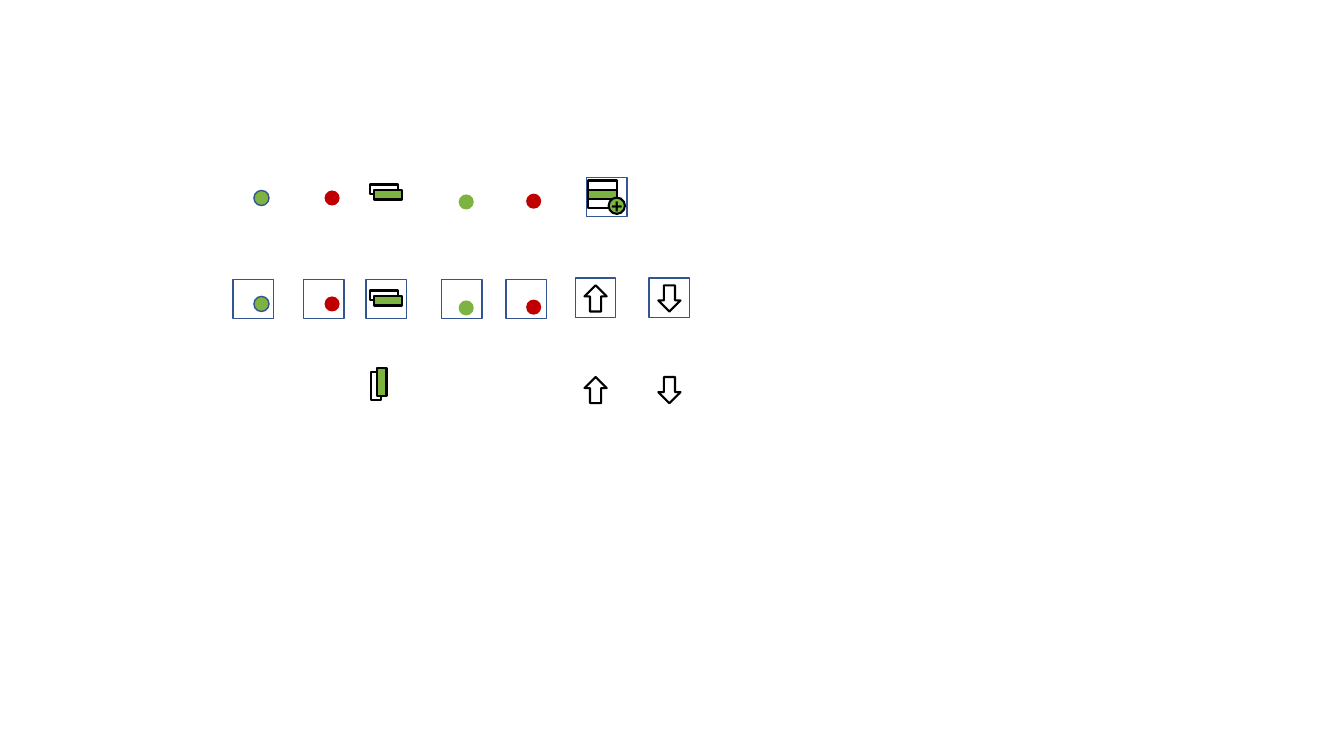
from pptx import Presentation
from pptx.dml.color import RGBColor
from pptx.enum.shapes import MSO_SHAPE
from pptx.enum.text import MSO_ANCHOR, PP_ALIGN
from pptx.util import Cm, Pt

GREEN = RGBColor(0x7D, 0xB4, 0x41)
BADGE_GREEN = RGBColor(0x7D, 0xB5, 0x41)
RED = RGBColor(0xC0, 0x00, 0x00)
BLUE = RGBColor(0x32, 0x54, 0x91)
BLACK = RGBColor(0x00, 0x00, 0x00)
WHITE = RGBColor(0xFF, 0xFF, 0xFF)


class IconSheet:
    """Draws icon elements on one slide; all lengths are in centimetres."""

    FONT = "Arial"
    THIN, THICK = Pt(1), Pt(1.5)
    DOT = 0.38
    FRAME = (1.02, 0.99)
    BAR = (0.71, 0.25)
    LAYER = (0.71, 0.23)
    ARROW = (0.56, 0.66)

    def __init__(self, slide):
        self.slide = slide

    def add_outline(self, kind, left, top, size, fill=None, line=None,
                    width=THICK, rotation=0, group=None):
        shapes = (group or self.slide).shapes
        shape = shapes.add_shape(kind, Cm(left), Cm(top), Cm(size[0]), Cm(size[1]))
        shape.shadow.inherit = False
        shape.rotation = rotation
        if fill is None:
            shape.fill.background()
        else:
            shape.fill.solid()
            shape.fill.fore_color.rgb = fill
        if line is None:
            shape.line.fill.background()
        else:
            shape.line.color.rgb = line
            shape.line.width = width
        return shape

    def dot(self, left, top, fill, line=None):
        self.add_outline(MSO_SHAPE.OVAL, left, top, (self.DOT, self.DOT), fill, line, self.THIN)

    def frame(self, left, top):
        self.add_outline(MSO_SHAPE.RECTANGLE, left, top, self.FRAME, line=BLUE, width=self.THIN)

    def bar_pair(self, left, top, shift, rotation=0):
        group = self.slide.shapes.add_group_shape()
        for step, fill in enumerate((None, GREEN)):
            self.add_outline(MSO_SHAPE.RECTANGLE, left + step * shift[0], top + step * shift[1],
                             self.BAR, fill, BLACK, rotation=rotation, group=group)

    def layers(self, left, top):
        group = self.slide.shapes.add_group_shape()
        for level, fill in ((2, None), (1, GREEN), (0, None)):
            self.add_outline(MSO_SHAPE.RECTANGLE, left, top + level * self.LAYER[1],
                             self.LAYER, fill, BLACK, group=group)

    def badge(self, left, top, text):
        shape = self.add_outline(MSO_SHAPE.OVAL, left, top, (0.41, 0.41), BADGE_GREEN, BLACK)
        frame = shape.text_frame
        frame.margin_left = frame.margin_right = frame.margin_top = frame.margin_bottom = 0
        frame.word_wrap = False
        frame.vertical_anchor = MSO_ANCHOR.MIDDLE
        frame.text = text
        paragraph = frame.paragraphs[0]
        paragraph.alignment = PP_ALIGN.CENTER
        font = paragraph.runs[0].font
        font.name, font.size, font.bold = self.FONT, Pt(14), True
        font.color.rgb = BLACK

    def arrow(self, left, top, rotation, fill=None):
        self.add_outline(MSO_SHAPE.UP_ARROW, left, top, self.ARROW, fill, BLACK, rotation=rotation)


def main():
    presentation = Presentation()
    presentation.slide_width, presentation.slide_height = Cm(33.87), Cm(19.05)
    sheet = IconSheet(presentation.slides.add_slide(presentation.slide_layouts[6]))

    # Status dots and horizontal bars, in the plain row and the framed row
    for row_shift in (0, 2.67):
        sheet.dot(11.56, 4.9 + row_shift, GREEN)
        sheet.dot(6.4, 4.8 + row_shift, GREEN, BLUE)
        sheet.bar_pair(9.32, 4.65 + row_shift, (0.1, 0.13))
        sheet.dot(13.26, 4.88 + row_shift, RED)
        sheet.dot(8.18, 4.8 + row_shift, RED)

    # Upright bars
    sheet.bar_pair(9.12, 9.6, (0.14, -0.1), rotation=90)

    # Frames of the second row
    for left in (5.87, 7.65, 9.22, 11.13, 12.75):
        sheet.frame(left, 7.04)

    # Stacked layers with a plus badge
    sheet.layers(14.83, 4.55)
    sheet.badge(15.34, 4.98, "+")
    sheet.frame(14.78, 4.47)

    # Up and down arrows, framed and plain
    for left, rotation in ((14.73, 0), (16.59, 180)):
        sheet.arrow(left, 7.19, rotation)
        sheet.frame(left - 0.23, 7.01)
        sheet.arrow(left, 9.5, rotation, WHITE)

    presentation.save("out.pptx")


if __name__ == "__main__":
    main()
